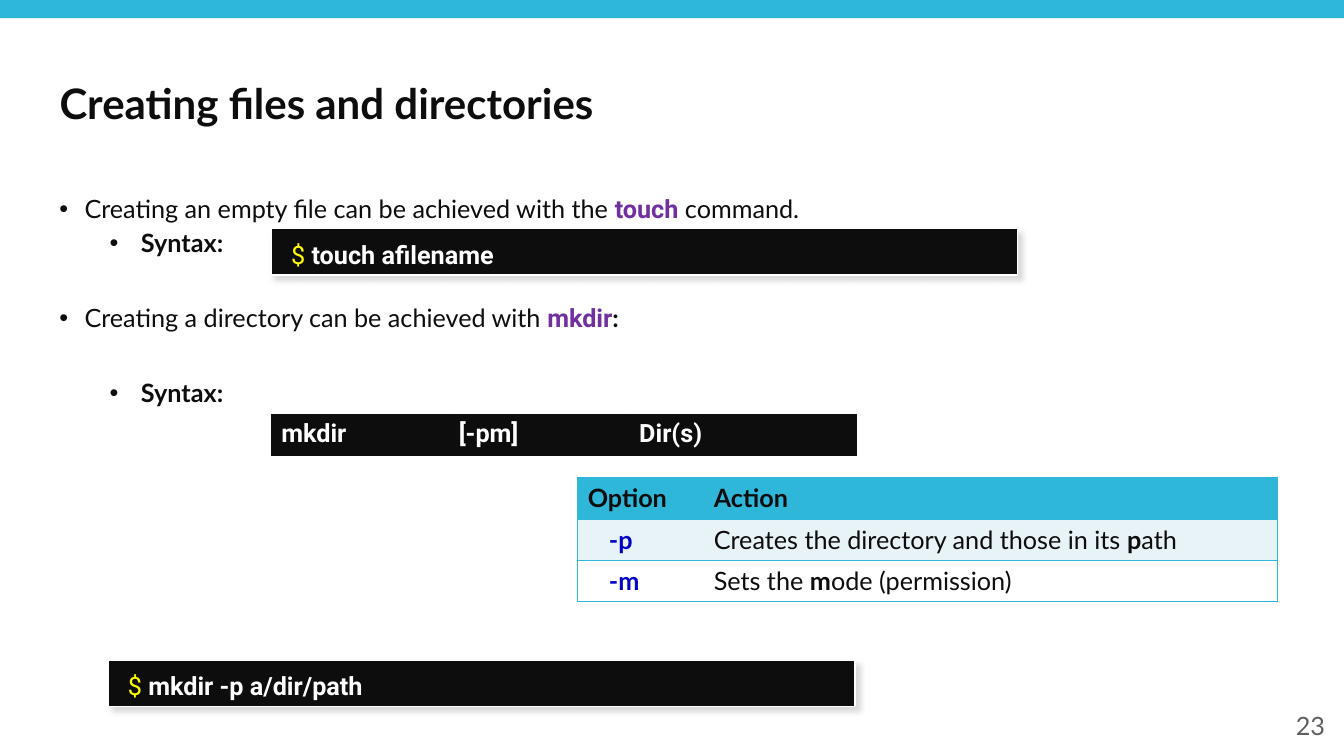
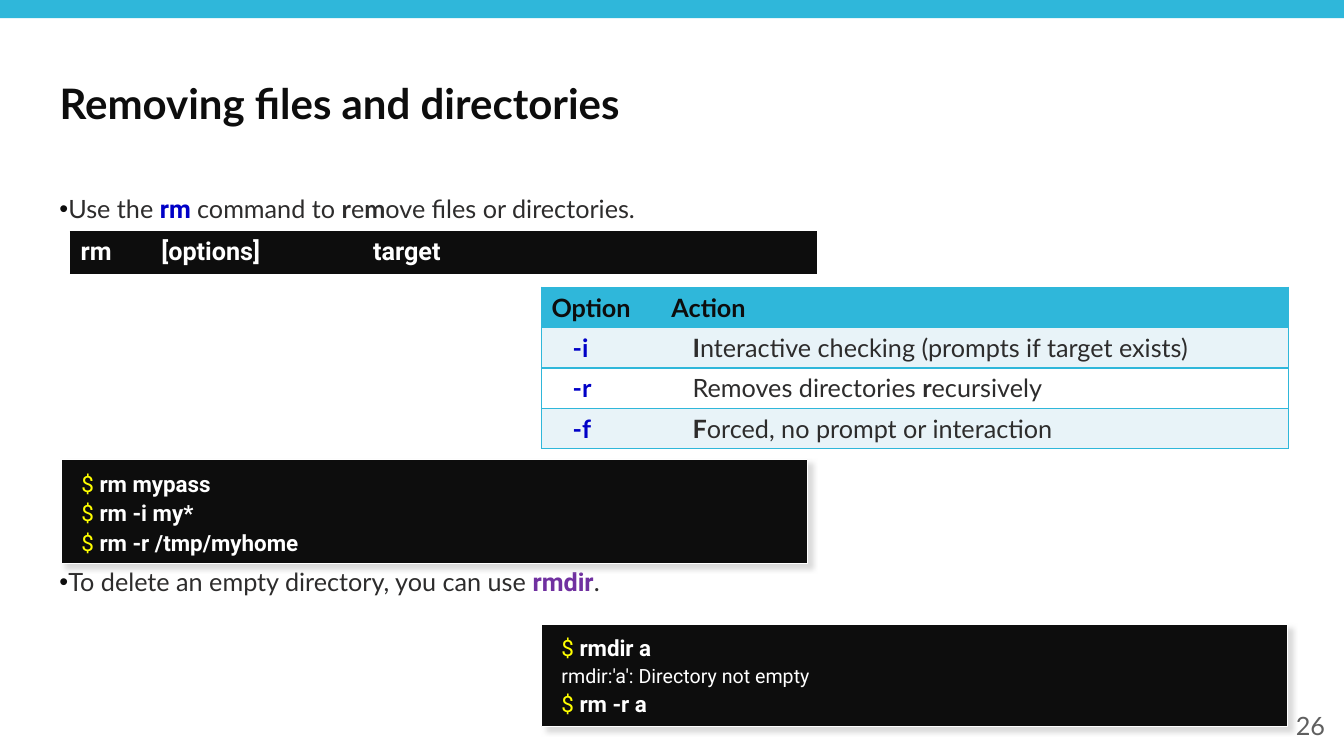
from lxml import etree
from pptx import Presentation
from pptx.dml.color import RGBColor
from pptx.enum.shapes import MSO_SHAPE
from pptx.enum.text import MSO_ANCHOR, PP_ALIGN
from pptx.oxml.ns import qn
from pptx.util import Emu, Pt

RECT = MSO_SHAPE.RECTANGLE
TOP, MIDDLE = MSO_ANCHOR.TOP, MSO_ANCHOR.MIDDLE
LEFT, RIGHT = PP_ALIGN.LEFT, PP_ALIGN.RIGHT
PX = 9144
WIDTH, HEIGHT = 1333, 750


class Theme:
    accent, ink, soft, grey = "2FB7DA", "0D0D0D", "2D2C2C", "5F5F5F"
    white, stripe, shadow = "FFFFFF", "E8F3F8", "DADADA"
    blue, purple, yellow = "0000C7", "7030A0", "FFFF00"
    sans, code = "Lato", "Roboto"
    title_size, body_size, code_size, output_size = 30, 18, 16, 14


STYLES = {
    "title": (Theme.sans, Theme.ink, True),
    "text": (Theme.sans, Theme.ink, False),
    "bold": (Theme.sans, Theme.ink, True),
    "soft": (Theme.sans, Theme.soft, False),
    "soft_bold": (Theme.sans, Theme.soft, True),
    "number": (Theme.sans, Theme.grey, False),
    "option": (Theme.sans, Theme.blue, True),
    "blue_cmd": (Theme.code, Theme.blue, True),
    "purple_cmd": (Theme.code, Theme.purple, True),
    "prompt": (Theme.code, Theme.yellow, False),
    "cmd": (Theme.code, Theme.white, True),
    "output": (Theme.code, Theme.white, False),
}

WIDE, NESTED, TIGHT = (25, -25), (81, -31), (9, -9)
OPTION_INDENT = 21

SLIDES = [
    {
        "title": "Creating files and directories",
        "number": "23",
        "bullets": [
            (190, [
                (WIDE, 0, [("Creating an empty file can be achieved with the ", "text"),
                           ("touch", "purple_cmd"), (" command.", "text")]),
                (NESTED, 5, [("Syntax:", "bold")]),
                (WIDE, 34, [("Creating a directory can be achieved with ", "text"),
                            ("mkdir", "purple_cmd"), (":", "bold")]),
                (NESTED, 34, [("Syntax:", "bold")]),
            ]),
        ],
        "terminals": [
            ((107, 655, 741, 46), Theme.body_size, [("cmd", "mkdir -p a/dir/path")]),
            ((269, 227, 740, 46), Theme.body_size, [("cmd", "touch afilename")]),
        ],
        "syntax": ((269, 411), (176, 179, 225), ["mkdir", "[-pm]", "Dir(s)"]),
        "options": {
            "at": (573, 474), "cols": (125, 569), "row": 41, "indent": 0,
            "rows": [
                ("-p", [("Creates the directory and those in its ", "text"),
                        ("p", "bold"), ("ath", "text")]),
                ("-m", [("Sets the ", "text"), ("m", "bold"), ("ode (permission)", "text")]),
            ],
        },
    },
    {
        "title": "Removing files and directories",
        "number": "26",
        "bullets": [
            (190, [
                (TIGHT, 0, [("Use the ", "soft"), ("rm ", "blue_cmd"), ("command to ", "soft"),
                            ("r", "soft_bold"), ("e", "soft"), ("m", "soft_bold"),
                            ("ove files or directories.", "soft")]),
            ]),
            (560, [
                (TIGHT, 0, [("To delete an empty directory, you can use ", "soft"),
                            ("rmdir", "purple_cmd"), (".", "soft")]),
            ]),
        ],
        "terminals": [
            ((61, 456, 740, 103), Theme.code_size,
             [("cmd", "rm mypass"), ("cmd", "rm -i my*"), ("cmd", "rm -r /tmp/myhome")]),
            ((537, 619, 740, 102), Theme.code_size,
             [("cmd", "rmdir a"), ("output", "rmdir:'a': Directory not empty"),
              ("cmd", "rm -r a")]),
        ],
        "syntax": ((70, 230), (80, 210, 450), ["rm", "[options]", "target"]),
        "options": {
            "at": (537, 285), "cols": (119, 622), "row": 40, "indent": OPTION_INDENT,
            "rows": [
                ("-i", [("I", "soft_bold"),
                        ("nteractive checking (prompts if target exists)", "soft")]),
                ("-r", [("Removes directories ", "soft"), ("r", "soft_bold"),
                        ("ecursively", "soft")]),
                ("-f", [("F", "soft_bold"), ("orced, no prompt or interaction", "soft")]),
            ],
        },
    },
]


def px(*values):
    return [Emu(v * PX) for v in values]


def rgb(value):
    return RGBColor.from_string(value)


def sub(parent, tag, **attrs):
    return etree.SubElement(parent, qn(tag), {k: str(v) for k, v in attrs.items()})


def add_runs(p, runs, size=Theme.body_size):
    for text, style in runs:
        r = p.add_run()
        r.text = text
        r.font.name, color, r.font.bold = STYLES[style]
        r.font.size = Pt(size)
        r.font.color.rgb = rgb(color)


def set_indent(p, margin, first=0):
    pPr = p._p.get_or_add_pPr()
    pPr.set("marL", str(margin * PX))
    pPr.set("indent", str(first * PX))
    return pPr


def paragraphs(tf, count):
    return [tf.paragraphs[0]] + [tf.add_paragraph() for _ in range(count - 1)]


def add_rect(s, box, fill):
    sp = s.shapes.add_shape(RECT, *px(*box))
    sp.fill.solid()
    sp.fill.fore_color.rgb = rgb(fill)
    sp.line.fill.background()
    sp.shadow.inherit = False
    return sp


def add_band(s):
    band = add_rect(s, (0, 0, WIDTH, 18), Theme.accent)
    s.slide_layout.shapes.element.append(band.element)


def add_title(s, text):
    sp = s.shapes.title
    sp.left, sp.top, sp.width, sp.height = px(49, 55, 1236, 94)
    tf = sp.text_frame
    tf.word_wrap = True
    tf.vertical_anchor = MIDDLE
    p = tf.paragraphs[0]
    p.alignment = LEFT
    add_runs(p, [(text, "title")], Theme.title_size)


def add_number(s, text):
    tf = s.shapes.add_textbox(*px(1024, 700, 300, 40)).text_frame
    tf.word_wrap = True
    tf.vertical_anchor = MIDDLE
    p = tf.paragraphs[0]
    p.alignment = RIGHT
    add_runs(p, [(text, "number")])


def add_bullets(s, top, items):
    tf = s.shapes.add_textbox(*px(49, top, 1236, 40 * len(items))).text_frame
    tf.word_wrap = True
    for p, (indent, before, runs) in zip(paragraphs(tf, len(items)), items):
        pPr = set_indent(p, *indent)
        sub(sub(pPr, "a:buClr"), "a:srgbClr", val=Theme.ink)
        sub(pPr, "a:buFont", typeface="Arial")
        sub(pPr, "a:buChar", char="•")
        p.line_spacing = 0.9
        p.space_before = Pt(before)
        add_runs(p, runs)


def add_terminal(s, box, size, lines):
    sp = add_rect(s, box, Theme.ink)
    sp.line.color.rgb = rgb(Theme.white)
    sp.line.width = Pt(1)
    effects = sp.element.spPr.find(qn("a:effectLst"))
    shadow = sub(effects, "a:outerShdw", blurRad=Pt(4), dist=Pt(4), dir=45 * 60000,
                 algn="tl", rotWithShape=0)
    sub(shadow, "a:srgbClr", val=Theme.shadow)
    tf = sp.text_frame
    tf.word_wrap = True
    tf.vertical_anchor = TOP
    tf.margin_left, tf.margin_top, tf.margin_right, tf.margin_bottom = px(10, 10, 10, 6)
    for i, (p, (kind, text)) in enumerate(zip(paragraphs(tf, len(lines)), lines)):
        p.alignment = LEFT
        set_indent(p, 10)
        p.space_before = Pt(1.9 if i else 0)
        if kind == "cmd":
            add_runs(p, [("$ ", "prompt"), (text, "cmd")], size)
        else:
            add_runs(p, [(text, "output")], Theme.output_size)


def set_borders(cell, color, sides):
    tcPr = cell._tc.get_or_add_tcPr()
    for i, side in enumerate("LRTB"):
        ln = etree.Element(qn(f"a:ln{side}"), {"w": str(Pt(1))})
        if side in sides:
            sub(sub(ln, "a:solidFill"), "a:srgbClr", val=color)
        else:
            sub(ln, "a:noFill")
        tcPr.insert(i, ln)


def add_grid(s, at, cols, row_height, rows, fills, border, edges):
    box = px(*at, sum(cols), row_height * len(rows))
    table = s.shapes.add_table(len(rows), len(cols), *box).table
    table.first_row = table.horz_banding = False
    for col, width in zip(table.columns, cols):
        col.width = Emu(width * PX)
    for i, (row, fill) in enumerate(zip(rows, fills)):
        table.rows[i].height = Emu(row_height * PX)
        for j, (indent, runs) in enumerate(row):
            cell = table.cell(i, j)
            cell.fill.solid()
            cell.fill.fore_color.rgb = rgb(fill)
            set_borders(cell, border, edges[j])
            p = cell.text_frame.paragraphs[0]
            set_indent(p, indent)
            add_runs(p, runs)


def add_syntax(s, at, cols, words):
    row = [(0, [(word, "cmd")]) for word in words]
    add_grid(s, at, cols, 41, [row], [Theme.ink], Theme.ink, ["LRTB"] * len(cols))


def add_options(s, spec):
    rows = [[(0, [(word, "bold")]) for word in ("Option", "Action")]]
    rows += [[(OPTION_INDENT, [(flag, "option")]), (spec["indent"], action)]
             for flag, action in spec["rows"]]
    stripes = (Theme.stripe, Theme.white)
    fills = [Theme.accent] + [stripes[i % 2] for i in range(len(spec["rows"]))]
    add_grid(s, spec["at"], spec["cols"], spec["row"], rows, fills,
             Theme.accent, ["LTB", "RTB"])


def main():
    prs = Presentation()
    prs.slide_width, prs.slide_height = px(WIDTH, HEIGHT)
    layout = prs.slide_layouts[5]
    for i, content in enumerate(SLIDES):
        s = prs.slides.add_slide(layout)
        if i == 0:
            add_band(s)
        add_title(s, content["title"])
        for block in content["bullets"]:
            add_bullets(s, *block)
        add_number(s, content["number"])
        for terminal in content["terminals"]:
            add_terminal(s, *terminal)
        add_syntax(s, *content["syntax"])
        add_options(s, content["options"])
    prs.save("out.pptx")


if __name__ == "__main__":
    main()
